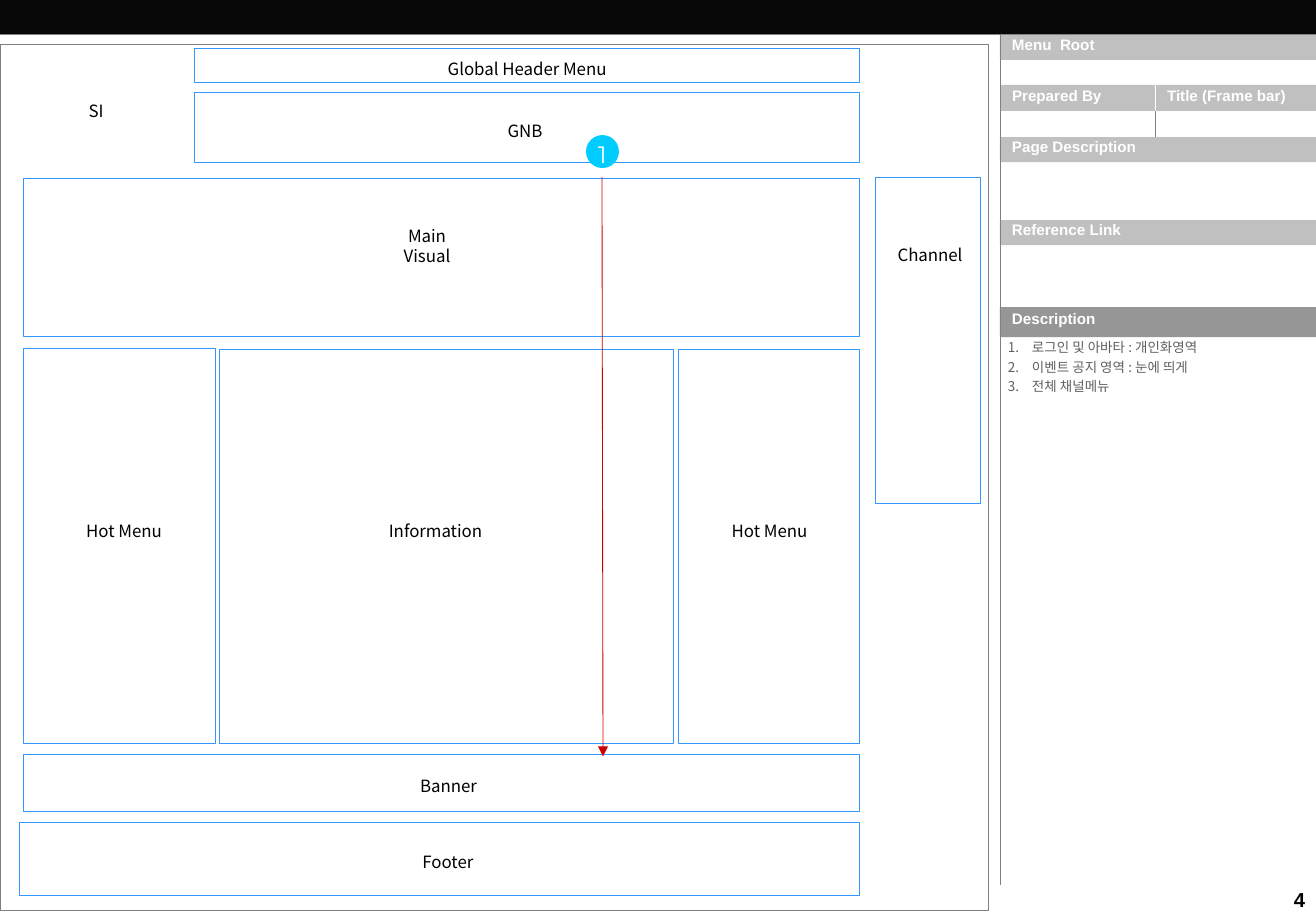
from dataclasses import dataclass

from lxml import etree
from pptx import Presentation, util as u
from pptx.dml.color import RGBColor
from pptx.enum import shapes, text
from pptx.oxml.ns import qn

EMU_PER_PX = 914400 / 121.4


@dataclass(frozen=True)
class Theme:
    black: str = "000000"
    white: str = "FFFFFF"
    top_bar: str = "080808"
    grey: str = "808080"
    bar: str = "C0C0C0"
    dark_bar: str = "969696"
    note: str = "5F5F5F"
    outline: str = "3399FF"
    marker: str = "00CCFF"
    arrow: str = "CC0000"
    body_font: str = "Noto Sans CJK KR"
    heading_font: str = "Arial"
    marker_font: str = "Montserrat"
    small: int = 8
    heading: int = 9
    label: int = 10
    page: int = 12
    number: int = 14


THEME = Theme()


@dataclass(frozen=True)
class Box:
    left: int
    top: int
    width: int
    height: int


@dataclass(frozen=True)
class Heading:
    text: str
    box: Box
    spacing: float
    fill: str = THEME.bar


@dataclass(frozen=True)
class Label:
    text: str
    box: Box
    wrap: bool = False


@dataclass(frozen=True)
class Rule:
    start: tuple[int, int]
    end: tuple[int, int]
    color: str = THEME.grey
    weight: float = 0.25
    arrow: bool = False


def px(value: int) -> u.Emu:
    return u.Emu(round(value * EMU_PER_PX))


def place(box: Box) -> tuple[u.Emu, ...]:
    return px(box.left), px(box.top), px(box.width), px(box.height)


def add_box(slide, box: Box, *, fill=None, line=None, weight=0.5,
            kind=shapes.MSO_SHAPE.RECTANGLE):
    shape = slide.shapes.add_shape(kind, *place(box))
    shape.shadow.inherit = False
    if fill:
        shape.fill.solid()
        shape.fill.fore_color.rgb = RGBColor.from_string(fill)
    else:
        shape.fill.background()
    if line:
        shape.line.color.rgb = RGBColor.from_string(line)
        shape.line.width = u.Pt(weight)
    else:
        shape.line.fill.background()
    return shape


def write(shape, content: str, *, size=THEME.label, font=THEME.body_font,
          color=THEME.black, bold=False, align=text.PP_ALIGN.CENTER,
          anchor=text.MSO_ANCHOR.TOP, insets=(0, 0), spacing=1.0, wrap=True):
    """Fill a shape with one paragraph per line of content."""
    frame = shape.text_frame
    frame.word_wrap = wrap
    frame.vertical_anchor = anchor
    frame.margin_left = frame.margin_right = px(insets[0])
    frame.margin_top = frame.margin_bottom = px(insets[1])
    frame.text = content
    for paragraph in frame.paragraphs:
        paragraph.alignment = align
        paragraph.line_spacing = spacing
        for run in paragraph.runs:
            run.font.size = u.Pt(size)
            run.font.bold = bold
            run.font.color.rgb = RGBColor.from_string(color)
            run.font.name = font
            east_asian = etree.SubElement(run.font._element, qn("a:ea"))
            east_asian.set("typeface", font)
    return frame


def add_text(slide, content: str, box: Box, **text_format):
    return write(slide.shapes.add_textbox(*place(box)), content, **text_format)


def add_rule(slide, rule: Rule) -> None:
    connector = slide.shapes.add_connector(
        shapes.MSO_CONNECTOR.STRAIGHT, *map(px, rule.start + rule.end))
    connector.line.color.rgb = RGBColor.from_string(rule.color)
    connector.line.width = u.Pt(rule.weight)
    if rule.arrow:
        line = connector.line._get_or_add_ln()
        etree.SubElement(line, qn("a:tailEnd")).set("type", "triangle")
    etree.SubElement(connector._element.spPr, qn("a:effectLst"))


def number_paragraphs(frame, indent: int) -> None:
    for paragraph in frame.paragraphs:
        properties = paragraph._p.get_or_add_pPr()
        properties.set("marL", str(px(indent)))
        properties.set("indent", str(-px(indent)))
        numbering = etree.SubElement(properties, qn("a:buAutoNum"))
        numbering.set("type", "arabicPeriod")


# Description panel
HEADINGS = [
    Heading("Description", Box(1000, 307, 316, 30), 0.75, THEME.dark_bar),
    Heading("Reference Link", Box(1000, 220, 316, 25), 0.65),
    Heading("Page Description", Box(1000, 137, 316, 25), 0.65),
    Heading("Title (Frame bar)", Box(1155, 85, 161, 26), 0.7),
    Heading("Prepared By", Box(1000, 85, 155, 26), 0.75),
    Heading("Menu  Root", Box(1000, 35, 316, 25), 0.65),
]
PANEL_RULES = [
    Rule((0, 34), (1316, 34)),
    Rule((1000, 35), (1000, 885)),
    Rule((1155, 111), (1155, 137)),
    Rule((1155, 85), (1155, 111), THEME.white),
]
NOTES = "로그인 및 아바타 : 개인화영역\n이벤트 공지 영역 : 눈에 띄게\n전체 채널메뉴"

# Wireframe areas and their labels
AREAS = [
    Box(194, 48, 665, 34),     # global header menu
    Box(194, 92, 665, 70),     # GNB
    Box(23, 178, 836, 158),    # main visual
    Box(875, 177, 105, 326),   # channel
    Box(23, 348, 192, 395),    # left hot menu
    Box(219, 349, 454, 394),   # information
    Box(678, 349, 181, 394),   # right hot menu
    Box(23, 754, 836, 57),     # banner
    Box(19, 822, 840, 73),     # footer
]
LABELS = [
    Label("Global Header Menu", Box(444, 59, 166, 20)),
    Label("SI", Box(88, 101, 16, 20)),
    Label("GNB", Box(507, 121, 36, 20)),
    Label("Main Visual", Box(385, 225, 84, 40), wrap=True),
    Label("Channel", Box(888, 245, 84, 20)),
    Label("Hot Menu", Box(82, 520, 84, 20)),
    Label("Information", Box(354, 520, 163, 20)),
    Label("Hot Menu", Box(688, 520, 163, 20)),
    Label("Banner", Box(419, 775, 59, 20)),
    Label("Footer", Box(422, 851, 52, 20)),
]


def main() -> None:
    presentation = Presentation()
    presentation.slide_width = u.Inches(10.84)
    presentation.slide_height = u.Inches(7.5)
    slide = presentation.slides.add_slide(presentation.slide_layouts[6])

    # Frame and side panel
    add_box(slide, Box(0, 0, 1316, 34), fill=THEME.top_bar)
    for heading in HEADINGS:
        bar = add_box(slide, heading.box, fill=heading.fill)
        write(bar, heading.text, size=THEME.heading, font=THEME.heading_font,
              color=THEME.white, bold=True, align=text.PP_ALIGN.LEFT,
              insets=(12, 6), spacing=heading.spacing)
    for rule in PANEL_RULES:
        add_rule(slide, rule)
    add_box(slide, Box(0, 44, 988, 866), line=THEME.grey, weight=0.25)
    notes = add_text(slide, NOTES, Box(1008, 336, 308, 58), size=THEME.small,
                     color=THEME.note, align=text.PP_ALIGN.LEFT, spacing=1.2)
    number_paragraphs(notes, indent=24)

    # Wireframe
    for area in AREAS:
        add_box(slide, area, line=THEME.outline)
    for label in LABELS:
        add_text(slide, label.text, label.box, wrap=label.wrap)

    # Numbered marker and arrow
    marker = add_box(slide, Box(586, 135, 33, 33), fill=THEME.marker,
                     kind=shapes.MSO_SHAPE.OVAL)
    write(marker, "1", size=THEME.number, font=THEME.marker_font,
          color=THEME.white, anchor=text.MSO_ANCHOR.MIDDLE, spacing=1.2, wrap=False)
    add_rule(slide, Rule((602, 177), (603, 756), THEME.arrow, 0.5, arrow=True))

    # Page number
    add_text(slide, "4", Box(1252, 888, 60, 22), size=THEME.page,
             font=THEME.heading_font, bold=True, align=text.PP_ALIGN.RIGHT,
             anchor=text.MSO_ANCHOR.MIDDLE, insets=(7, 5))

    presentation.save("out.pptx")


if __name__ == "__main__":
    main()
